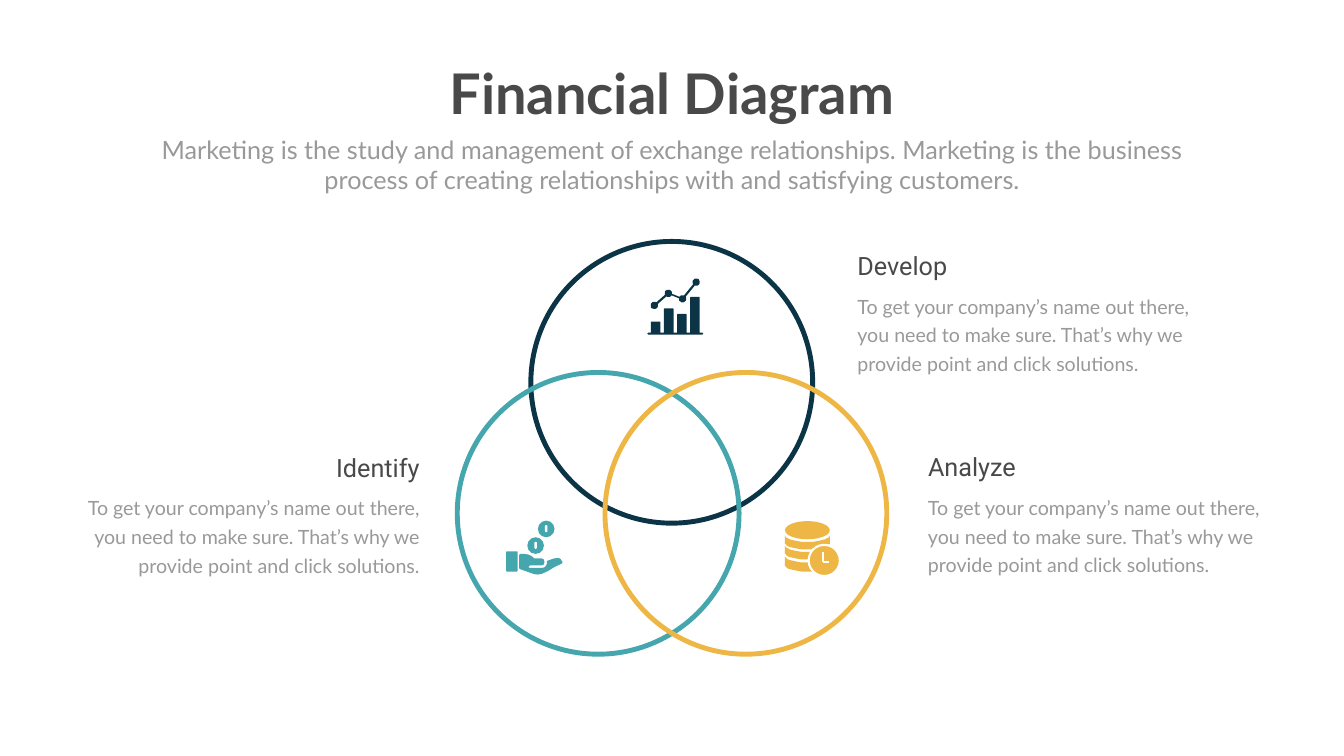
from dataclasses import dataclass
from math import atan2, cos, pi, sin

from lxml import etree
from pptx import Presentation
from pptx.dml.color import RGBColor
from pptx.enum.shapes import MSO_CONNECTOR, MSO_SHAPE
from pptx.enum.text import MSO_AUTO_SIZE, PP_ALIGN
from pptx.oxml.ns import qn
from pptx.util import Pt

PX = 9144  # 100 px to the inch
NAVY, TEAL, GOLD = "0B3547", "45A6AE", "EEB745"
WHITE, DARK, GREY = "FFFFFF", "494949", "999999"
RING_SIZE = 559
BODY = ("To get your company’s name out there, you need to make sure. "
        "That’s why we provide point and click solutions.")


@dataclass
class Ring:
    x: int
    y: int
    color: str


@dataclass
class Callout:
    heading: str
    x: int
    y: int
    align: PP_ALIGN


@dataclass
class Style:
    size: int
    color: str
    font: str = "Lato"
    bold: bool = False
    align: PP_ALIGN = PP_ALIGN.LEFT
    spacing: float | None = None
    wrap: bool = True


RINGS = [Ring(1053, 479, NAVY), Ring(907, 739, TEAL), Ring(1200, 739, GOLD)]
CALLOUTS = [
    Callout("Develop", 1691, 492, PP_ALIGN.LEFT),
    Callout("Analyze", 1831, 891, PP_ALIGN.LEFT),
    Callout("Identify", 135, 892, PP_ALIGN.RIGHT),
]
BARS = [(1291, 638), (1317, 612), (1343, 623), (1369, 589)]
TREND = [(1298, 606), (1326, 582), (1354, 593), (1381, 560)]
COINS = [(1067, 1033), (1046, 1066)]
BANDS = [(1062, 15), (1082, 15), (1103, 18)]
PALM = [
    (1115, 1114), (1112, 1109), (1108, 1107), (1099, 1108), (1085, 1113),
    (1085, 1119), (1082, 1124), (1079, 1126), (1074, 1127), (1051, 1127),
    (1048, 1125), (1051, 1122), (1074, 1122), (1079, 1120), (1080, 1115),
    (1079, 1110), (1074, 1108), (1060, 1108), (1054, 1103), (1047, 1100),
    (1039, 1099), (1032, 1099), (1030, 1101), (1030, 1127), (1031, 1129),
    (1048, 1135), (1059, 1139), (1067, 1140), (1076, 1138), (1087, 1133),
    (1100, 1125), (1115, 1118), (1116, 1115),
]


def rgb(value: str) -> RGBColor:
    return RGBColor.from_string(value)


def paint(sp, fill: str | None, line: str | None = None, width: float = 0) -> None:
    sp.shadow.inherit = False
    if fill:
        sp.fill.solid()
        sp.fill.fore_color.rgb = rgb(fill)
    else:
        sp.fill.background()
    if line:
        sp.line.color.rgb = rgb(line)
        sp.line.width = Pt(width)
    else:
        sp.line.fill.background()


def add_preset(shapes, kind: MSO_SHAPE, x: int, y: int, w: int, h: int,
               fill: str | None, line: str | None = None, width: float = 0):
    sp = shapes.add_shape(kind, x * PX, y * PX, w * PX, h * PX)
    paint(sp, fill, line, width)
    return sp


def add_outline(shapes, points: list, fill: str) -> None:
    builder = shapes.build_freeform(*points[0], scale=PX)
    builder.add_line_segments(points[1:], close=True)
    paint(builder.convert_to_shape(), fill)


def add_strokes(shapes, points: list, color: str, width: float) -> None:
    """Join consecutive points with straight connectors."""
    for (x1, y1), (x2, y2) in zip(points, points[1:]):
        line = shapes.add_connector(
            MSO_CONNECTOR.STRAIGHT, x1 * PX, y1 * PX, x2 * PX, y2 * PX)
        line.line.color.rgb = rgb(color)
        line.line.width = Pt(width)
        etree.SubElement(line._element.spPr, qn("a:effectLst"))


def add_text(shapes, text: str, x: int, y: int, w: int, h: int, style: Style) -> None:
    tf = shapes.add_textbox(x * PX, y * PX, w * PX, h * PX).text_frame
    tf.word_wrap = style.wrap
    tf.auto_size = MSO_AUTO_SIZE.SHAPE_TO_FIT_TEXT
    p = tf.paragraphs[0]
    p.alignment = style.align
    if style.spacing:
        p.line_spacing = Pt(style.spacing)
    r = p.add_run()
    r.text = text
    r.font.name = style.font
    r.font.size = Pt(style.size)
    r.font.bold = style.bold
    r.font.color.rgb = rgb(style.color)


def trend_outline() -> list:
    """Walk out and back along the dots, rounding each one between its two links."""
    radius, gap, steps = 7.3, 0.25, 16
    route = TREND + TREND[-2:0:-1]
    points = []
    for i, (x, y) in enumerate(route):
        before, after = route[i - 1], route[(i + 1) % len(route)]
        start = atan2(before[1] - y, before[0] - x)
        end = atan2(after[1] - y, after[0] - x)
        sweep = (end - start) % (2 * pi) or 2 * pi
        for k in range(steps + 1):
            angle = start + gap + (sweep - 2 * gap) * k / steps
            points.append((x + radius * cos(angle), y + radius * sin(angle)))
    return points


def draw_chart_icon(shapes) -> None:
    left, right, base, bottom, bar_w = 1284, 1395, 660, 664, 19
    points = [(left + 2, bottom), (left, bottom - 2), (left + 2, base)]
    for x, top in BARS:
        end = x + bar_w
        points += [(x, base), (x, top + 1), (x + 1, top),
                   (end - 1, top), (end, top + 1), (end, base)]
    points += [(right - 2, base), (right, bottom - 2), (right - 2, bottom)]
    add_outline(shapes, points, NAVY)
    add_outline(shapes, trend_outline(), NAVY)


def draw_stack_icon(shapes) -> None:
    left, width, sag, steps = 1557, 89, 13, 24
    add_preset(shapes, MSO_SHAPE.OVAL, left, 1034, width, 36, GOLD)
    for top, depth in BANDS:
        arc = [(left + width * (1 - cos(pi * i / steps)) / 2,
                top + sag * sin(pi * i / steps)) for i in range(steps + 1)]
        lower = [(x, y + depth) for x, y in reversed(arc)]
        add_outline(shapes, arc + lower, GOLD)
    add_preset(shapes, MSO_SHAPE.OVAL, 1604, 1081, 62, 62, GOLD, WHITE, 3)
    add_strokes(shapes, [(1633, 1096), (1633, 1115), (1645, 1115)], WHITE, 2.75)


def draw_hand_icon(shapes) -> None:
    cuff = add_preset(shapes, MSO_SHAPE.ROUNDED_RECTANGLE, 1004, 1094, 23, 40, TEAL)
    cuff.adjustments[0] = 0.08
    add_outline(shapes, PALM, TEAL)
    for x, y in COINS:
        add_preset(shapes, MSO_SHAPE.OVAL, x, y, 33, 33, TEAL)
        slot = add_preset(shapes, MSO_SHAPE.ROUNDED_RECTANGLE,
                          x + 14, y + 9, 5, 14, WHITE)
        slot.adjustments[0] = 0.5


def draw_callout(shapes, callout: Callout) -> None:
    body_w, head_w = 707, 572
    shift = body_w - head_w if callout.align == PP_ALIGN.RIGHT else 0
    add_text(shapes, BODY, callout.x, callout.y + 78, body_w, 177,
             Style(28, GREY, align=callout.align, spacing=40.8))
    add_text(shapes, callout.heading, callout.x + shift, callout.y, head_w, 71,
             Style(36, DARK, "Roboto", align=callout.align))


def main() -> None:
    prs = Presentation()
    prs.slide_width, prs.slide_height = 2666 * PX, 1500 * PX
    s = prs.slides.add_slide(prs.slide_layouts[6])
    for ring in RINGS:
        add_preset(s.shapes, MSO_SHAPE.OVAL, ring.x, ring.y,
                   RING_SIZE, RING_SIZE, None, ring.color, 7)
    for draw_icon in (draw_chart_icon, draw_stack_icon, draw_hand_icon):
        draw_icon(s.shapes.add_group_shape().shapes)
    for callout in CALLOUTS:
        draw_callout(s.shapes, callout)
    add_text(s.shapes, "Financial Diagram", 871, 112, 924, 145,
             Style(80, DARK, bold=True, align=PP_ALIGN.CENTER, wrap=False))
    add_text(s.shapes, "Marketing is the study and management of exchange relationships. "
             "Marketing is the business process of creating relationships with and "
             "satisfying customers.", 292, 261, 2082, 131,
             Style(36, GREY, align=PP_ALIGN.CENTER))
    prs.save("out.pptx")


if __name__ == "__main__":
    main()
